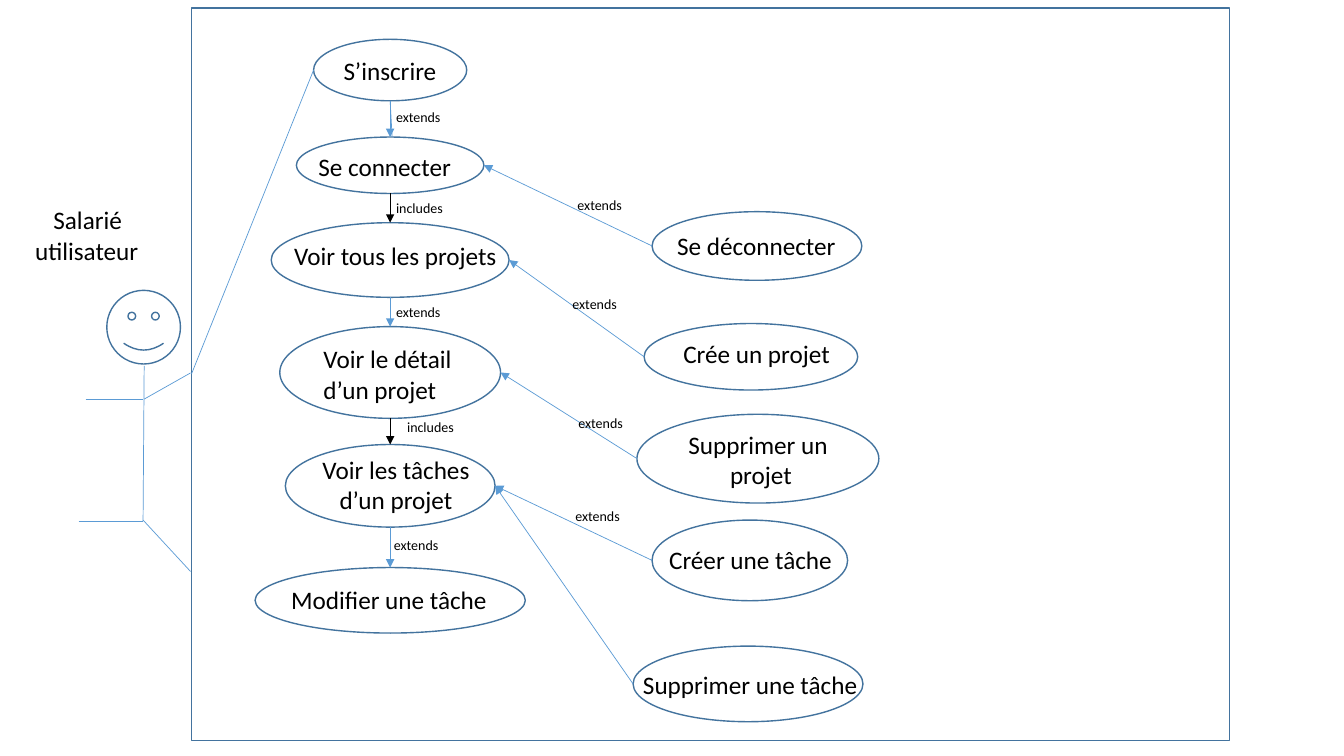
"""Build a use case diagram for an employee managing projects and tasks."""
import pptx
import pptx.dml.color
import pptx.enum.shapes
import pptx.enum.text
import pptx.oxml
import pptx.oxml.ns
import pptx.util
from collections import namedtuple

Pt = pptx.util.Pt
Shapes = pptx.enum.shapes.MSO_SHAPE
Box = namedtuple("Box", "left top width height")
UseCase = namedtuple("UseCase", "oval label text centred wrap")

OUTLINE, LINK, BLACK = "43739E", "5B9BD5", "000000"
FONT = "Calibri"


def rgb(value):
    """Turn a hex string into a colour."""
    return pptx.dml.color.RGBColor.from_string(value)


def within(box, part):
    """Shift a part's box by the corner of the region holding it."""
    return Box(box.left + part[0], box.top + part[1], *part[2:])


def outline(slide, kind, box):
    """Draw an unfilled shape and return its box."""
    shape = slide.shapes.add_shape(kind, *map(Pt, box))
    shape.shadow.inherit = False
    shape.fill.background()
    shape.line.color.rgb = rgb(OUTLINE)
    shape.line.width = Pt(1)
    return box


def write(slide, box, text, size=18, centred=(), wrap=False):
    """Write black text, centring the paragraphs whose numbers are listed."""
    frame = slide.shapes.add_textbox(*map(Pt, box)).text_frame
    frame.text = text
    frame.word_wrap = wrap
    frame.auto_size = pptx.enum.text.MSO_AUTO_SIZE.SHAPE_TO_FIT_TEXT
    for number, paragraph in enumerate(frame.paragraphs):
        if number in centred:
            paragraph.alignment = pptx.enum.text.PP_ALIGN.CENTER
        for run in paragraph.runs:
            run.font.name = FONT
            run.font.size = Pt(size)
            run.font.color.rgb = rgb(BLACK)


def join(slide, start, end, colour=LINK, arrow=False):
    """Draw a thin line between two points, with an optional arrowhead."""
    line = slide.shapes.add_connector(
        pptx.enum.shapes.MSO_CONNECTOR.STRAIGHT, *map(Pt, (*start, *end)))
    line.line.color.rgb = rgb(colour)
    line.line.width = Pt(0.5)
    qn = pptx.oxml.ns.qn
    properties = line.element.find(qn("p:spPr"))
    if arrow:
        stroke = properties.find(qn("a:ln"))
        stroke.append(stroke.makeelement(qn("a:tailEnd"), {"type": "triangle"}))
    properties.append(properties.makeelement(qn("a:effectLst"), {}))


def left_of(box):
    """Return the middle of the left side."""
    return box.left, box.top + box.height / 2


def right_of(box):
    """Return the middle of the right side."""
    return box.left + box.width, box.top + box.height / 2


def draw_use_case(slide, box, case):
    """Draw an oval with its wording and return the oval's box."""
    oval = outline(slide, Shapes.OVAL, within(box, case.oval))
    write(slide, within(box, case.label), case.text,
          centred=case.centred, wrap=case.wrap)
    return oval


def draw_actor(slide, box):
    """Draw the employee as a caption, a face and a line figure."""
    write(slide, within(box, (0, 0, 89.3, 51)), "Salarié\nutilisateur", centred=(0,))
    outline(slide, Shapes.SMILEY_FACE, within(box, (58.3, 64.8, 52.6, 52.6)))
    body = ((85, 118.8), (84.2, 229.6))
    left_arm = ((43.2, 142.5), (84.2, 142.5))
    right_arm = ((85, 142.5), (118.1, 123.8))
    left_leg = ((38.2, 229.6), (84.2, 229.6))
    right_leg = ((84.2, 228.9), (118.1, 265.6))
    for limb in (body, left_arm, right_arm, left_leg, right_leg):
        join(slide, *((box.left + x, box.top + y) for x, y in limb))


def draw_main_flow(slide, box):
    """Stack the main use cases on one axis and link each to the next."""
    steps = (
        ("S’inscrire", 0, 109.4, 43.9, (56.1, 7.9, 146.9, 29), (), True),
        ("Se connecter", 69.8, 133.9, 40.3, (38.1, 76.3, 110.2, 29), (), False),
        ("Voir tous les projets", 131, 169.9, 53.3, (20.8, 139.7, 160.6, 29), (), False),
        ("Voir le détail d’un projet", 205.2, 157.7, 65.5, (41.7, 213.8, 110.2, 51), (), True),
        ("Voir les tâches\nd’un projet", 289.4, 149.8, 59, (41, 293, 121, 51), (1,), False),
        ("Modifier une tâche", 377.3, 193, 46.8, (18.7, 385.9, 169.9, 29), (), True),
    )
    links = (
        ("extends", 93.6, 46.1), ("includes", 93.6, 110.9), ("extends", 93.6, 185),
        ("includes", 101.5, 267.1), ("extends", 92.1, 351.3),
    )
    ovals = [
        draw_use_case(slide, box, UseCase(
            ((box.width - width) / 2, top, width, height), label, text, centred, wrap))
        for text, top, width, height, label, centred, wrap in steps]
    axis = box.left + box.width / 2
    for upper, lower, (relation, left, top) in zip(ovals, ovals[1:], links):
        colour = BLACK if relation == "includes" else LINK
        join(slide, (axis, upper.top + upper.height), (axis, lower.top), colour, True)
        write(slide, within(box, (left, top, 48, 19.4)), relation, 10)
    join(slide, (axis, ovals[0].top + ovals[0].height), (axis + 1.4, ovals[1].top))
    return ovals


def draw_extensions(slide, box, targets):
    """Draw the optional use cases, each pointing at the one it extends."""
    cases = (
        UseCase((13.6, 0, 149.8, 49), (24.4, 10.1, 128.9, 29),
                "Se déconnecter", (), False),
        UseCase((7.9, 79.9, 152.6, 47.5), (28.8, 87.1, 120.2, 29),
                "Crée un projet", (), False),
        UseCase((2.8, 144.7, 172.8, 63.4), (32.4, 151.9, 119.5, 51),
                "Supprimer un \nprojet", (1,), False),
        UseCase((13.6, 220.3, 139.7, 57.6), (18.7, 234, 132.5, 29),
                "Créer une tâche", (), False),
        UseCase((0, 310.3, 164.2, 54), (0, 323.3, 169.9, 29),
                "Supprimer une tâche", (), False),
    )
    for case, target in zip(cases, targets):
        join(slide, left_of(draw_use_case(slide, box, case)), right_of(target), arrow=True)
    for left, top in ((-46.8, -14.4), (-50.4, 56.2), (-46.1, 141.1), (-48.3, 208.1)):
        write(slide, within(box, (left, top, 46.8, 19.4)), "extends", 10)


def draw_system(slide, box):
    """Draw the system boundary with its use cases and the actor's association."""
    outline(slide, Shapes.RECTANGLE, box)
    main = draw_main_flow(slide, within(box, (45.4, 22.3, 193, 424.1)))
    sign_up, sign_in, projects, detail, tasks, edit_task = main
    draw_extensions(slide, within(box, (315.4, 145.4, 175.6, 364.3)),
                    (sign_in, projects, detail, tasks, tasks))
    join(slide, (box.left, box.top + 261.3), left_of(sign_up))


presentation = pptx.Presentation()
presentation.slide_width, presentation.slide_height = Pt(960), Pt(540)
diagram = presentation.slides.add_slide(presentation.slide_layouts[6])
draw_system(diagram, Box(136.8, 5.8, 741.6, 523.4))
draw_actor(diagram, Box(18, 142.6, 118.1, 265.6))
presentation.save("out.pptx")
